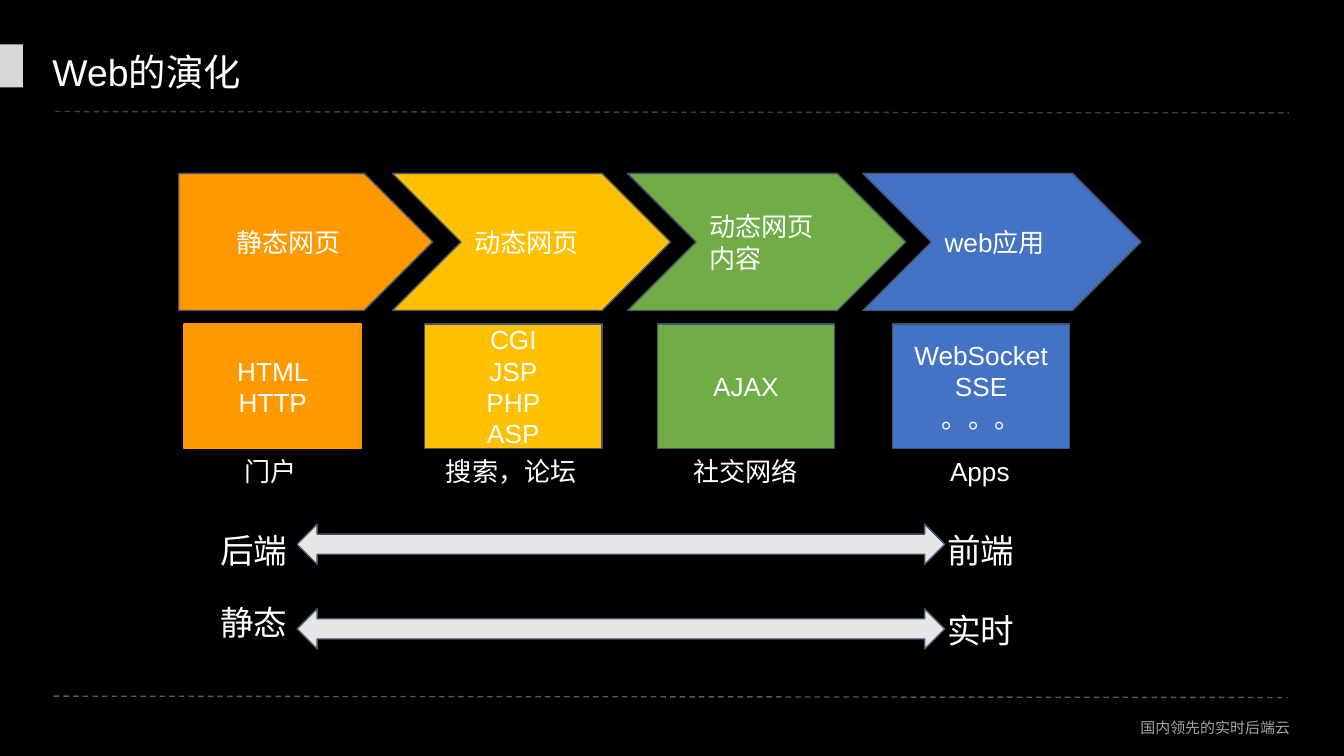
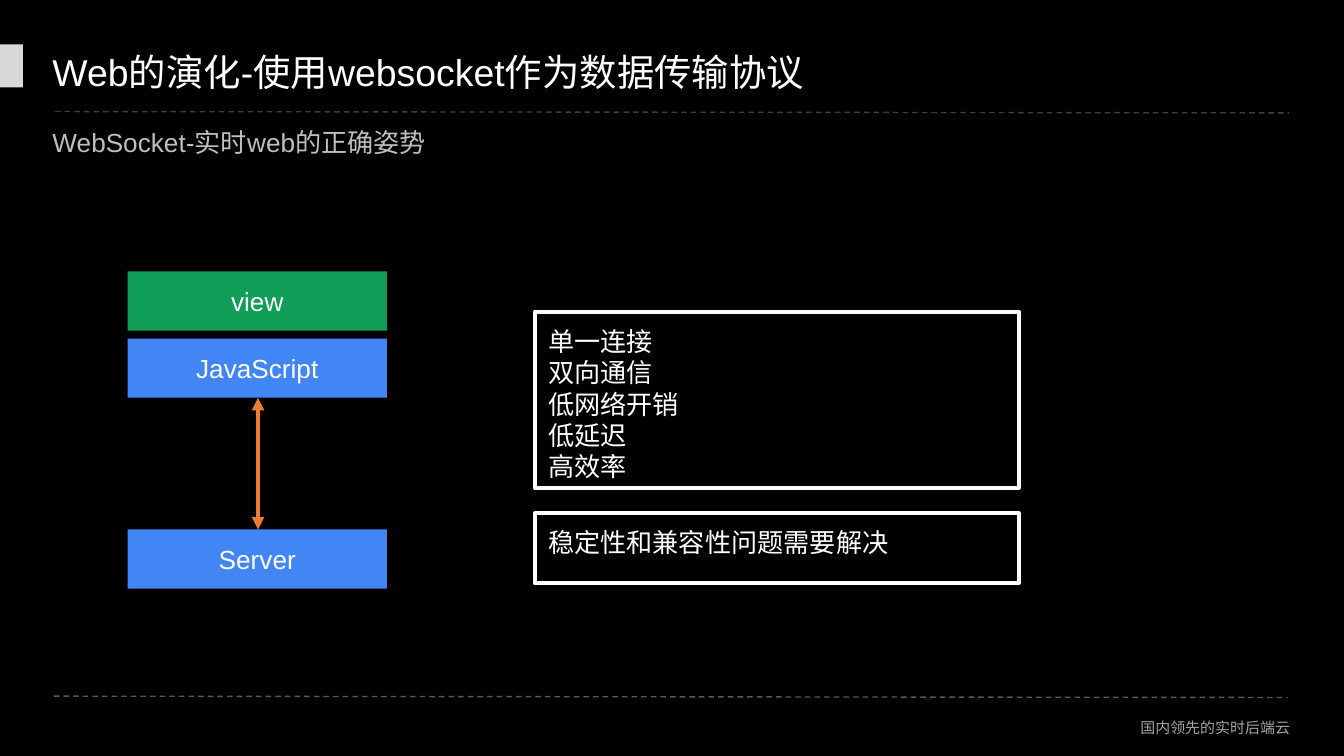
import lxml.etree
import pptx
import pptx.dml.color
import pptx.enum.dml
import pptx.enum.shapes
import pptx.enum.text
import pptx.oxml.ns
import pptx.util

Inches = pptx.util.Inches
Kind = pptx.enum.shapes.MSO_SHAPE
Align = pptx.enum.text.PP_ALIGN
Anchor = pptx.enum.text.MSO_ANCHOR

WHITE = "FFFFFF"
SLATE = "44546A"
ORANGE = "FF9900"
BLUE = "4285F4"


def color(code):
    return pptx.dml.color.RGBColor.from_string(code)


def paint(fill, code):
    if code:
        fill.solid()
        fill.fore_color.rgb = color(code)
    else:
        fill.background()


def apply(target, values):
    for name, value in values.items():
        setattr(target, name, value)


class Deck:
    font = "Arial"
    frame = {
        "word_wrap": True,
        "auto_size": pptx.enum.text.MSO_AUTO_SIZE.NONE,
        "margin_left": Inches(0.1),
        "margin_right": Inches(0.1),
    }

    def __init__(self):
        self.file = pptx.Presentation()
        apply(self.file, {"slide_width": Inches(10), "slide_height": Inches(5.625)})
        paint(self.file.slide_master.background.fill, "000000")

    def page(self, title, body=None):
        layout = self.file.slide_layouts[1 if body else 5]
        self.slide = self.file.slides.add_slide(layout)
        self.shape(Kind.RECTANGLE, (-0.01, 0.33, 0.18, 0.32), "D8D8D8")
        self.line((0.4, 5.18), (9.58, 5.19), "595959", dash=True)
        self.line((0.41, 0.83), (9.59, 0.84), "3F3F3F", dash=True)
        self.text((6.37, 5.3, 3.33, 0.23), ["国内领先的实时后端云"], size=8,
                  tint="A5A5A5", align=Align.RIGHT, pad=0.05)
        self.holder(0, (0.29, 0.18, 8.53, 0.7), title, 20, WHITE)
        if body:
            self.holder(1, (0.29, 0.83, 9.32, 0.45), body, 14, "BFBFBF")

    def label(self, shape, lines, size=14, tint=WHITE, align=Align.LEFT,
              anchor=Anchor.TOP, gap=0, pad=0.1):
        frame = shape.text_frame
        apply(frame, self.frame | {
            "vertical_anchor": anchor,
            "margin_top": Inches(pad),
            "margin_bottom": Inches(pad),
        })
        for i, line in enumerate(lines):
            para = frame.paragraphs[0] if i == 0 else frame.add_paragraph()
            apply(para, {"alignment": align,
                         "space_before": pptx.util.Pt(gap if i else 0)})
            run = para.add_run()
            run.text = line
            apply(run.font, {"name": self.font, "size": pptx.util.Pt(size)})
            run.font.color.rgb = color(tint)

    def holder(self, index, box, line, size, tint):
        shape = self.slide.placeholders[index]
        names = ("left", "top", "width", "height")
        apply(shape, dict(zip(names, map(Inches, box))))
        self.label(shape, [line], size, tint, anchor=Anchor.MIDDLE)
        props = shape.text_frame.paragraphs[0]._p.get_or_add_pPr()
        for name in ("marL", "indent"):
            props.set(name, "0")
        lxml.etree.SubElement(props, pptx.oxml.ns.qn("a:buNone"))

    def text(self, box, lines, **style):
        self.label(self.slide.shapes.add_textbox(*map(Inches, box)), lines, **style)

    def shape(self, kind, box, fill=None, edge=None, lines=(), width=0.75,
              align=Align.CENTER, anchor=Anchor.MIDDLE):
        shape = self.slide.shapes.add_shape(kind, *map(Inches, box))
        shape.shadow.inherit = False
        paint(shape.fill, fill)
        paint(shape.line.fill, edge)
        if edge:
            shape.line.width = pptx.util.Pt(width)
        self.label(shape, lines, align=align, anchor=anchor)

    def line(self, start, end, tint, width=0.75, dash=False, heads=False):
        link = self.slide.shapes.add_connector(
            pptx.enum.shapes.MSO_CONNECTOR.STRAIGHT, *map(Inches, start + end))
        paint(link.line.fill, tint)
        link.line.width = pptx.util.Pt(width)
        if dash:
            link.line.dash_style = pptx.enum.dml.MSO_LINE.DASH
        props = link._element.spPr
        if heads:
            for tag in ("a:headEnd", "a:tailEnd"):
                lxml.etree.SubElement(props.find(pptx.oxml.ns.qn("a:ln")),
                                      pptx.oxml.ns.qn(tag), type="triangle")
        lxml.etree.SubElement(props, pptx.oxml.ns.qn("a:effectLst"))


def stages(deck):
    deck.page("Web的演化")
    eras = [
        ("静态网页", ORANGE, 1.37, ["HTML", "HTTP"], "门户", 1.72, 1.01),
        ("动态网页", "FFC000", 3.16, ["CGI", "JSP", "PHP", "ASP"], "搜索，论坛", 3.22, 1.27),
        ("动态网页内容", "70AD47", 4.89, ["AJAX"], "社交网络", 5.06, 1.01),
        ("web应用", "4472C4", 6.64, ["WebSocket", "SSE", "。。。"], "Apps", 6.97, 1.01),
    ]
    for i, (name, tint, left, tools, use, place, width) in enumerate(eras):
        if i == 0:
            deck.shape(Kind.PENTAGON, (1.33, 1.29, 1.89, 1.02), tint, SLATE, [name])
        else:
            deck.shape(Kind.CHEVRON, (1.17 + 1.75 * i, 1.29, 2.07, 1.02), tint, SLATE,
                       [name], align=Align.LEFT)
        deck.shape(Kind.RECTANGLE, (left, 2.41, 1.32, 0.93), tint,
                   SLATE if i else tint, tools)
        deck.text((place, 3.29, width, 0.42), [use])
    for top in (3.9, 4.53):
        deck.shape(Kind.LEFT_RIGHT_ARROW, (2.21, top, 4.82, 0.3), "E7E6E6", SLATE)
    deck.text((1.54, 3.84, 0.84, 0.79), ["后端", "静态"], size=18, gap=17)
    deck.text((6.95, 3.84, 0.84, 1.06), ["前端", "实时"], size=18, gap=21.7)


def socket(deck):
    deck.page("Web的演化-使用websocket作为数据传输协议", "WebSocket-实时web的正确姿势")
    for name, top, tint in (("view", 2.02, "0F9D58"), ("JavaScript", 2.52, BLUE),
                            ("Server", 3.94, BLUE)):
        deck.shape(Kind.RECTANGLE, (0.95, top, 1.93, 0.44), tint, lines=[name])
    deck.line((1.92, 2.96), (1.92, 3.94), "ED7D31", 2.25, heads=True)
    gains = ["单一连接", "双向通信", "低网络开销", "低延迟", "高效率"]
    for top, height, lines in ((2.32, 1.31, gains),
                               (3.82, 0.52, ["稳定性和兼容性问题需要解决"])):
        deck.shape(Kind.RECTANGLE, (3.98, top, 3.6, height), None, WHITE, lines,
                   2.25, Align.LEFT, Anchor.TOP)


def main():
    deck = Deck()
    stages(deck)
    socket(deck)
    deck.file.save("out.pptx")


if __name__ == "__main__":
    main()
